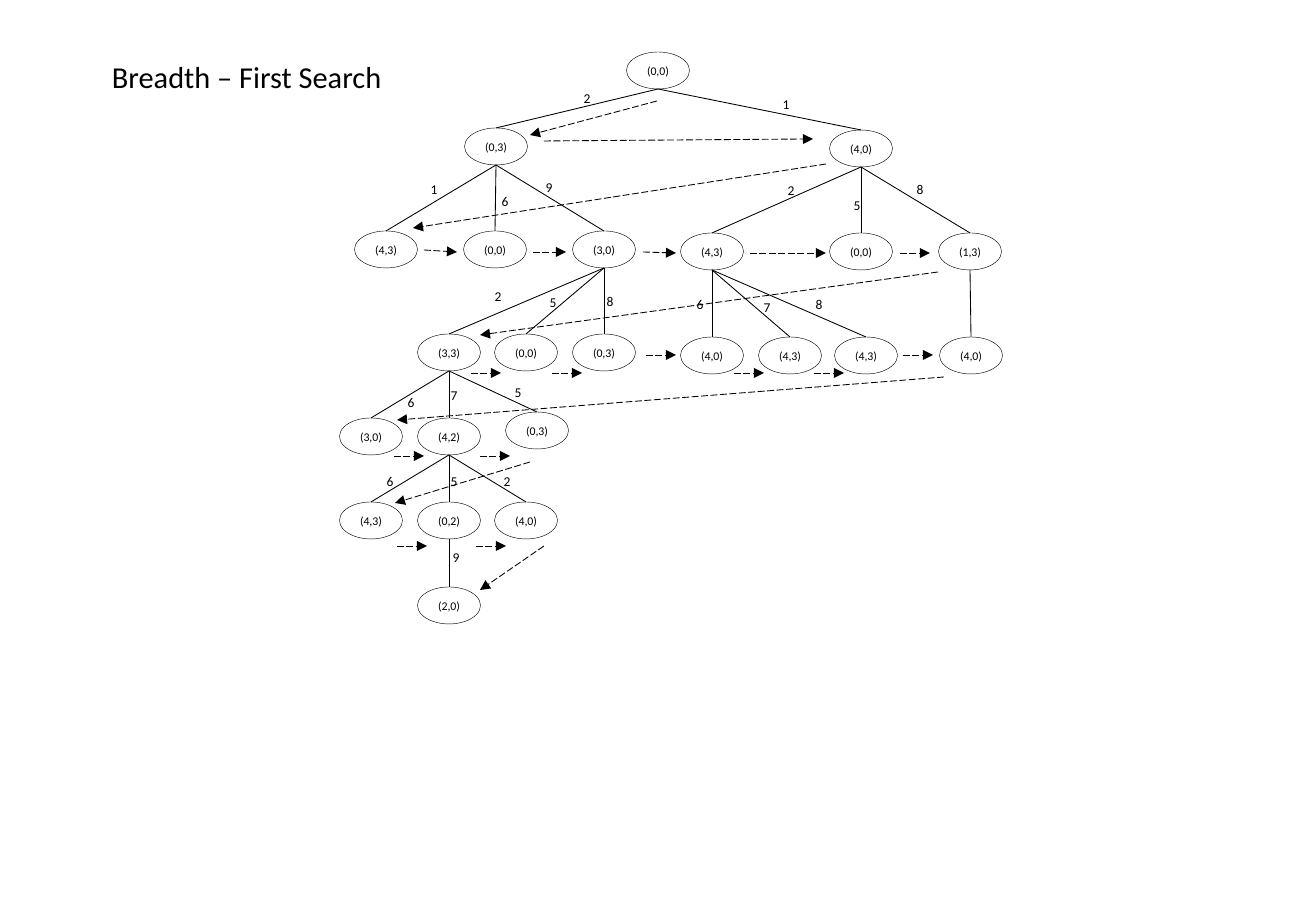
from dataclasses import dataclass

from pptx import Presentation
from pptx import util as u
from pptx.dml.color import RGBColor
from pptx.enum import dml, shapes, text
from pptx.oxml import parse_xml
from pptx.oxml.ns import nsdecls, qn

SCALE = 914400 / 121.5
NODE_W, NODE_H = 63, 37
TAG_W, TAG_H = 8, 16
HOP = 30


@dataclass
class Theme:
    """Colours, font, type sizes and line widths."""
    ink: RGBColor = RGBColor(0, 0, 0)
    font: str = "Calibri"
    title: float = 18
    tag: float = 8
    state: float = 7
    rim: float = 0.25
    edge: float = 0.5


@dataclass
class Node:
    """A search state: centre x, top y, cost tag (text, x, y) and children."""
    state: str
    x: int
    y: int
    cost: tuple = ()
    kids: tuple = ()


def px(n):
    """Turn pixels into EMU."""
    return u.Emu(round(n * SCALE))


class Board:
    """Holds the theme and the current slide."""

    def __init__(self, slide, theme):
        """Keep the slide's shapes and the theme."""
        self.shapes, self.theme = slide.shapes, theme

    def label(self, frame, words, size, align=None):
        """Fill a text frame with one styled line."""
        frame.text = words
        para = frame.paragraphs[0]
        para.alignment = align
        font = para.runs[0].font
        font.name, font.size = self.theme.font, u.Pt(size)
        font.color.rgb = self.theme.ink

    def inset(self, frame):
        """Remove the margins of a text frame."""
        frame.margin_left = frame.margin_right = 0
        frame.margin_top = frame.margin_bottom = 0

    def box(self, x, y, w, h):
        """Add an unwrapped text box and return its frame."""
        frame = self.shapes.add_textbox(px(x), px(y), px(w), px(h)).text_frame
        frame.word_wrap = False
        frame.auto_size = text.MSO_AUTO_SIZE.SHAPE_TO_FIT_TEXT
        return frame

    def title(self, words, x, y, w, h):
        """Add the heading."""
        self.label(self.box(x, y, w, h), words, self.theme.title)

    def tag(self, words, x, y):
        """Add an edge cost centred on a point."""
        frame = self.box(x - TAG_W / 2, y - TAG_H / 2, TAG_W, TAG_H)
        self.inset(frame)
        self.label(frame, words, self.theme.tag, text.PP_ALIGN.CENTER)

    def oval(self, node):
        """Add the ellipse of a state."""
        shape = self.shapes.add_shape(
            shapes.MSO_SHAPE.OVAL, px(node.x - NODE_W / 2), px(node.y),
            px(NODE_W), px(NODE_H))
        shape.shadow.inherit = False
        shape.fill.background()
        shape.line.color.rgb = self.theme.ink
        shape.line.width = u.Pt(self.theme.rim)
        frame = shape.text_frame
        self.inset(frame)
        frame.vertical_anchor = text.MSO_ANCHOR.MIDDLE
        self.label(frame, node.state, self.theme.state, text.PP_ALIGN.CENTER)

    def line(self, x1, y1, x2, y2):
        """Add a solid line and return it."""
        link = self.shapes.add_connector(
            shapes.MSO_CONNECTOR.STRAIGHT, px(x1), px(y1), px(x2), px(y2))
        link.line.color.rgb = self.theme.ink
        link.line.width = u.Pt(self.theme.edge)
        link._element.spPr.append(
            parse_xml(f"<a:effectLst {nsdecls('a')}/>"))
        return link

    def arrow(self, x1, y1, x2, y2):
        """Add a dashed arrow."""
        link = self.line(x1, y1, x2, y2)
        link.line.dash_style = dml.MSO_LINE.LONG_DASH
        link._element.spPr.find(qn("a:ln")).append(
            parse_xml(f'<a:tailEnd {nsdecls("a")} type="triangle"/>'))

    def tree(self, node):
        """Draw a state, its edges and costs, and all below it."""
        self.oval(node)
        for kid in node.kids:
            self.line(node.x, node.y + NODE_H, kid.x, kid.y)
            if kid.cost:
                self.tag(*kid.cost)
            self.tree(kid)


goal = Node("(2,0)", 449, 587, ("9", 456, 557))
deep = Node("(4,2)", 449, 418, ("7", 454, 395), (
    Node("(4,3)", 371, 502, ("6", 390, 481)),
    Node("(0,2)", 449, 502, ("5", 454, 481), (goal,)),
    Node("(4,0)", 526, 502, ("2", 507, 481))))
mid = Node("(3,3)", 449, 334, ("2", 498, 296), (
    Node("(3,0)", 371, 418, ("6", 411, 402)),
    deep,
    Node("(0,3)", 537, 412, ("5", 518, 392))))
left = Node("(0,3)", 496, 128, ("2", 587, 98), (
    Node("(4,3)", 386, 231, ("1", 434, 189)),
    Node("(0,0)", 495, 231, ("6", 505, 201)),
    Node("(3,0)", 604, 231, ("9", 549, 187), (
        mid,
        Node("(0,0)", 526, 334, ("5", 553, 302)),
        Node("(0,3)", 604, 334, ("8", 610, 301))))))
right = Node("(4,0)", 861, 130, ("1", 786, 104), (
    Node("(4,3)", 712, 233, ("2", 791, 190), (
        Node("(4,0)", 712, 337, ("6", 700, 304)),
        Node("(4,3)", 790, 337, ("7", 767, 307)),
        Node("(4,3)", 866, 337, ("8", 819, 304)))),
    Node("(0,0)", 861, 233, ("5", 857, 205)),
    Node("(1,3)", 970, 233, ("8", 920, 189), (
        Node("(4,0)", 971, 337),))))
root = Node("(0,0)", 658, 52, (), (left, right))

# Long moves between rows and subtrees
MOVES = [
    (657, 101, 530, 135), (544, 141, 813, 139), (826, 164, 413, 228),
    (424, 250, 457, 252), (533, 252, 566, 252), (643, 252, 676, 253),
    (750, 253, 826, 253), (938, 272, 480, 335), (944, 377, 397, 420),
    (530, 462, 395, 503), (544, 546, 480, 590)]

# Level hops to the next sibling: row y and the start of each hop
HOPS = {253: [900], 373: [471, 552, 734, 814], 355: [646, 903],
        456: [394, 480], 546: [397, 476]}

deck = Presentation()
deck.slide_width, deck.slide_height = px(1316), px(911)
board = Board(deck.slides.add_slide(deck.slide_layouts[6]), Theme())
board.title("Breadth – First Search", 100, 52, 304, 49)
board.tree(root)
for move in MOVES:
    board.arrow(*move)
for y, starts in HOPS.items():
    for x in starts:
        board.arrow(x, y, x + HOP, y)
deck.save("out.pptx")
